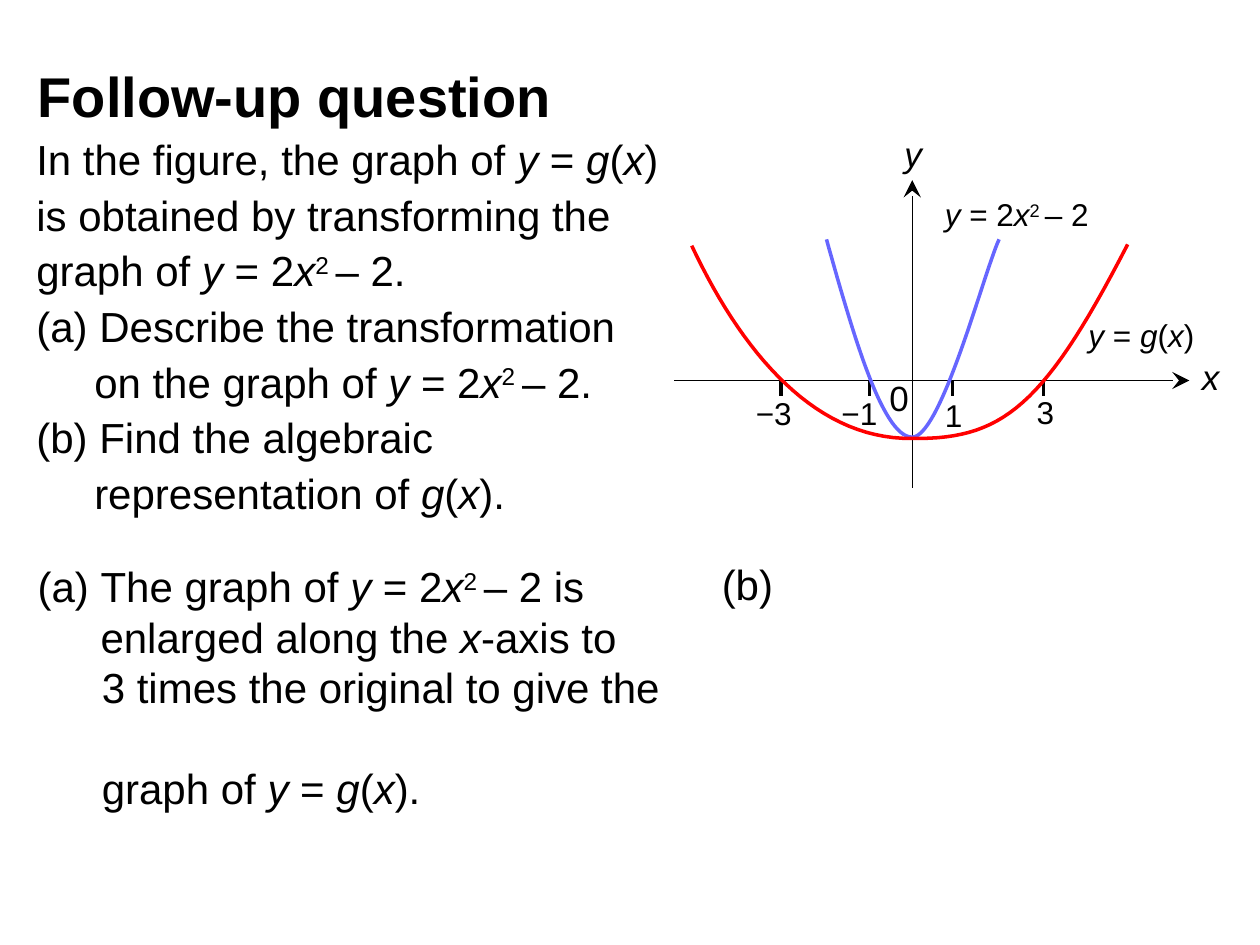
from lxml import etree
from pptx import Presentation
from pptx.dml.color import RGBColor
from pptx.enum.shapes import MSO_CONNECTOR
from pptx.enum.text import MSO_ANCHOR, MSO_AUTO_SIZE, PP_ALIGN
from pptx.oxml.ns import qn
from pptx.util import Inches, Pt

STRAIGHT = MSO_CONNECTOR.STRAIGHT
TOP = MSO_ANCHOR.TOP
LEFT = PP_ALIGN.LEFT
NO_AUTOFIT = MSO_AUTO_SIZE.NONE

THEME = {
    "font": "Arial",
    "black": RGBColor(0, 0, 0),
    "blue": RGBColor(0x66, 0x66, 0xFF),
    "red": RGBColor(0xFF, 0, 0),
    "title": 32, "body": 24, "axis": 20, "label": 18,
    "leading": 1.2,
    "thin": 0.75, "thick": 2,
}


def fill_text(shape, paragraphs, size, bold=False, wrap=True):
    """Write (markup, format) pairs: _x_ is italic, ^2^ is superscript.

    Format keys: number (automatic "(a)" label), margin (inches), before (points).
    """
    frame = shape.text_frame
    for name, value in {"word_wrap": wrap, "auto_size": NO_AUTOFIT,
                        "vertical_anchor": TOP}.items():
        setattr(frame, name, value)
    for index, (markup, options) in enumerate(paragraphs):
        paragraph = frame.paragraphs[0] if index == 0 else frame.add_paragraph()
        for name, value in {"alignment": LEFT, "space_before": Pt(options.get("before", 0)),
                            "line_spacing": Pt(size * THEME["leading"])}.items():
            setattr(paragraph, name, value)
        properties = paragraph._p.get_or_add_pPr()
        properties.set("marL", str(Inches(options.get("margin", 0))))
        if "number" in options:
            properties.set("indent", str(-Inches(options["margin"])))
            etree.SubElement(properties, qn("a:buFont"), typeface=THEME["font"])
            etree.SubElement(properties, qn("a:buAutoNum"), type="alphaLcParenBoth",
                             startAt=str(options["number"]))
        for italic_index, section in enumerate(markup.split("_")):
            for super_index, text in enumerate(section.split("^")):
                if not text:
                    continue
                run = paragraph.add_run()
                run.text = text
                for name, value in {"name": THEME["font"], "size": Pt(size), "bold": bold,
                                    "italic": italic_index % 2 == 1}.items():
                    setattr(run.font, name, value)
                run.font.color.rgb = THEME["black"]
                if super_index % 2:
                    run.font._element.set("baseline", "30000")


def add_line(start, end, width, arrow=False):
    line = slide.shapes.add_connector(STRAIGHT, *map(Inches, start + end))
    line.line.color.rgb = THEME["black"]
    line.line.width = Pt(width)
    if arrow:
        etree.SubElement(line.line._get_or_add_ln(), qn("a:tailEnd"), type="stealth",
                         w="lg", len="lg")
    etree.SubElement(line._element.spPr, qn("a:effectLst"))


presentation = Presentation()
presentation.slide_width, presentation.slide_height = Inches(10), Inches(7.5)
slide = presentation.slides.add_slide(presentation.slide_layouts[5])

title = slide.shapes.title
for name, value in {"left": 0.2, "top": 0.44, "width": 4.31, "height": 0.64}.items():
    setattr(title, name, Inches(value))
fill_text(title, [("Follow-up question", {})], THEME["title"], bold=True, wrap=False)

# Axes and ticks
origin_x, axis_y = 7.24, 3.02
add_line((origin_x, 3.87), (origin_x, 1.43), THEME["thin"], arrow=True)
add_line((5.35, axis_y), (9.44, axis_y), THEME["thin"], arrow=True)
for tick_x in (6.2, 6.9, 7.56, 8.28):
    add_line((tick_x, axis_y), (tick_x, axis_y + 0.12), THEME["thick"])

# Curves, each a chain of cubic Bézier pieces sampled evenly
curves = [
    ("blue", [[(6.56, 1.9), (6.78, 2.69), (7.01, 3.47), (7.24, 3.47)],
              [(7.24, 3.47), (7.47, 3.47), (7.81, 2.16), (7.93, 1.9)]]),
    ("red", [[(5.49, 1.95), (5.9, 2.82), (6.48, 3.49), (7.24, 3.48)],
             [(7.24, 3.48), (7.96, 3.49), (8.29, 3.22), (8.95, 1.94)]]),
]
STEPS = 30
for color, pieces in curves:
    points = []
    for piece in pieces:
        for step in range(1, STEPS + 1):
            t = step / STEPS
            weights = ((1 - t) ** 3, 3 * t * (1 - t) ** 2, 3 * t ** 2 * (1 - t), t ** 3)
            points.append([Inches(sum(w * point[axis] for w, point in zip(weights, piece)))
                           for axis in (0, 1)])
    builder = slide.shapes.build_freeform(*map(Inches, pieces[0][0]))
    builder.add_line_segments(points, close=False)
    curve = builder.convert_to_shape()
    curve.shadow.inherit = False
    curve.fill.background()
    curve.line.color.rgb = THEME[color]
    curve.line.width = Pt(THEME["thick"])

question = [
    ("In the figure, the graph of _y_ = _g_(_x_)", {}),
    ("is obtained by transforming the", {"before": 3}),
    ("graph of _y_ = 2_x_^2 ^– 2.", {"before": 3}),
    ("Describe the transformation", {"before": 3, "number": 1, "margin": 0.5}),
    ("on the graph of _y_ = 2_x_^2 ^– 2.", {"before": 3, "margin": 0.46}),
    ("Find the algebraic", {"before": 3, "number": 2, "margin": 0.5}),
    ("representation of _g_(_x_).", {"before": 3, "margin": 0.46}),
]
answer = [
    ("The graph of _y_ = 2_x_^2 ^– 2 is enlarged along the _x_-axis to",
     {"number": 1, "margin": 0.5}),
    ("3 times the original to give the", {"margin": 0.51}),
    ("graph of _y_ = _g_(_x_).",
     {"margin": 0.51, "before": THEME["body"] * THEME["leading"]}),
]
text_boxes = [
    ((0.19, 1.01, 5.24, 3.18), "body", question),
    ((0.2, 4.4, 5.23, 1.72), "body", answer),
    ((5.63, 4.38, 0.75, 0.51), "body", [("(b)", {})]),
    ((6.96, 2.94, 0.44, 0.44), "axis", [("0", {})]),
    ((7.08, 1, 0.99, 0.44), "axis", [("_y_", {})]),
    ((9.44, 2.77, 0.52, 0.44), "axis", [("_x_", {})]),
    ((5.9, 3.08, 0.54, 0.4), "label", [("−3", {})]),
    ((6.58, 3.08, 0.55, 0.4), "label", [("−1", {})]),
    ((7.4, 3.09, 0.4, 0.4), "label", [("1", {})]),
    ((8.13, 3.07, 0.36, 0.4), "label", [("3", {})]),
    ((7.4, 1.5, 1.46, 0.4), "label", [("_y_ = 2_x_^2 ^– 2", {})]),
    ((8.54, 2.46, 1.26, 0.4), "label", [("_y_ = _g_(_x_)", {})]),
]
for box, size, paragraphs in text_boxes:
    fill_text(slide.shapes.add_textbox(*map(Inches, box)), paragraphs, THEME[size])

presentation.save("out.pptx")
